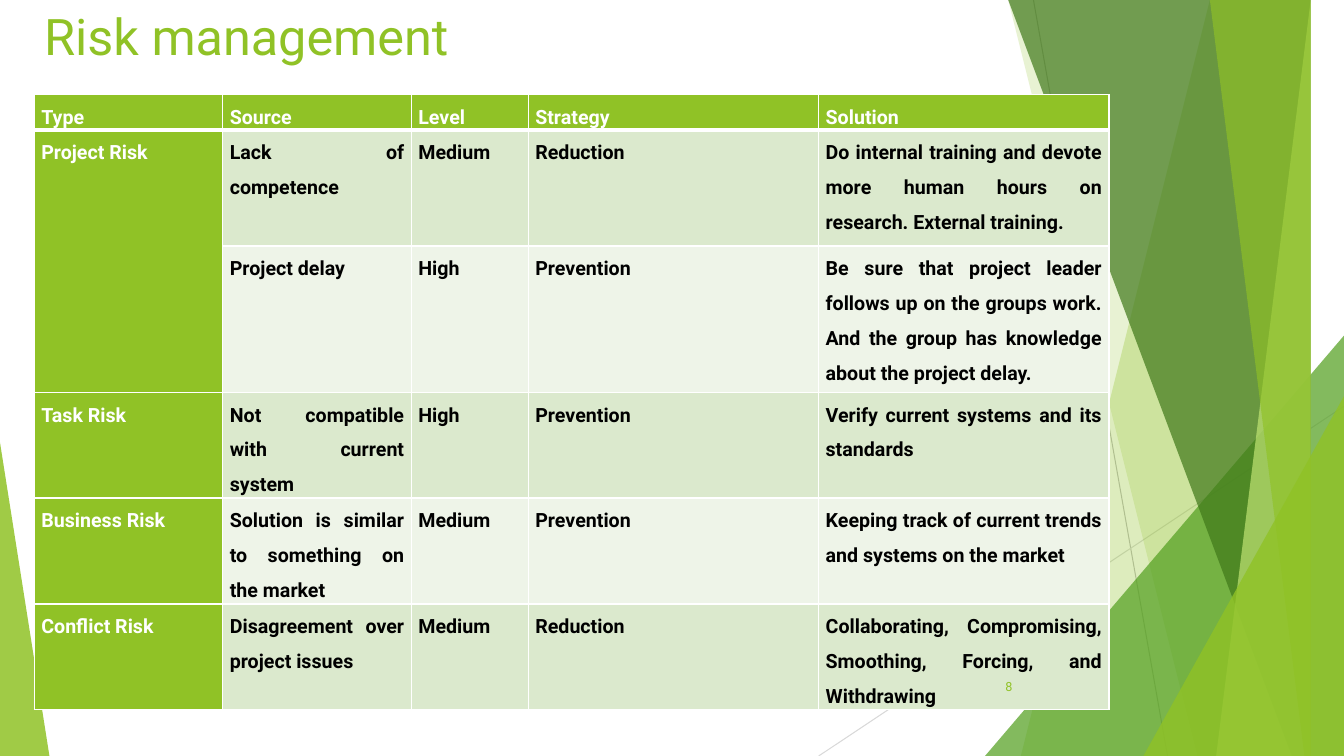
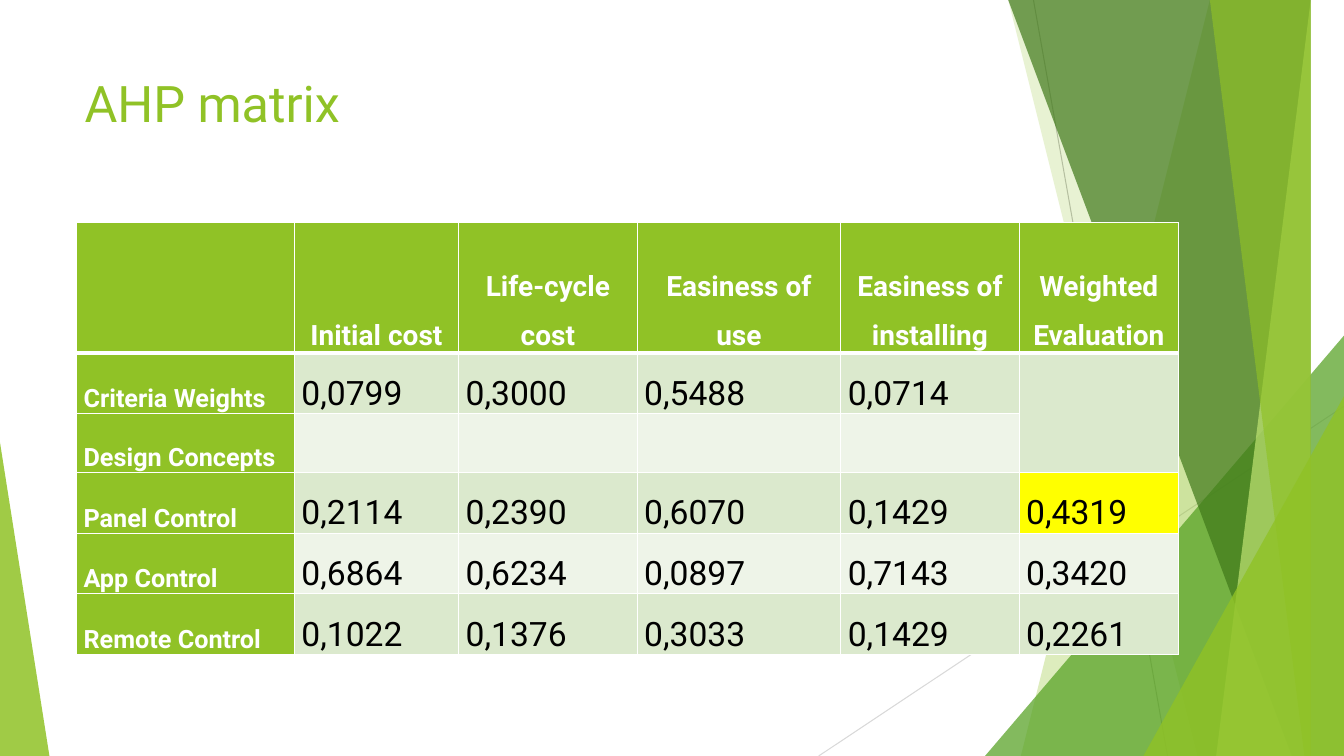
from lxml.etree import SubElement
from pptx import Presentation
from pptx.dml.color import RGBColor as RGB
from pptx.enum.shapes import MSO_CONNECTOR as LINE, MSO_SHAPE as SHAPE
from pptx.enum.text import MSO_ANCHOR as ANCHOR, PP_ALIGN as ALIGN
from pptx.oxml import parse_xml
from pptx.oxml.ns import nsdecls, qn
from pptx.util import Inches, Pt

COLORS = {
    "lime": "90C226", "leaf": "54A021", "dark": "3F7819", "pale": "C0E474",
    "band": "DBE9CD", "light": "EEF4E8", "mark": "FFFF00",
    "white": "FFFFFF", "black": "000000", "gray": "BFBFBF", "mist": "D9D9D9",
}
HEX = {name: RGB.from_string(code) for name, code in COLORS.items()}
FONT = "Roboto"
TOP, RIGHT, BASE = -0.01, 13.33, 7.5

RAYS = [((10.25, 0), (11.58, BASE), "gray"), ((RIGHT, 4.03), (8.12, BASE), "mist")]
# Facets from back to front: a shard gives its top and bottom x,
# a wedge its left, top, width, height and apex; then colour and opacity.
FACETS = [
    ("shard", (12.28, 10.04), "lime", 30),
    ("shard", (10.5, 11.83), "lime", 20),
    ("wedge", (9.77, 3.33, 3.56, 4.17, 1), "leaf", 72),
    ("shard", (10.21, 12.91), "dark", 70),
    ("shard", (13.03, 11.92), "pale", 70),
    ("shard", (11.96, 13.18), "lime", 65),
    ("wedge", (11.34, 3.93, 1.99, 3.57, 1), "lime", 80),
    ("wedge", (0, 4.39, 0.49, 3.11, 0), "lime", 85),
]

RISKS = [
    ["Type", "Source", "Level", "Strategy", "Solution"],
    ["Project Risk", "Lack of competence", "Medium", "Reduction",
     "Do internal training and devote more human hours on research. External training."],
    ["", "Project delay", "High", "Prevention",
     "Be sure that project leader follows up on the groups work. "
     "And the group has knowledge about the project delay."],
    ["Task Risk", "Not compatible with current system", "High", "Prevention",
     "Verify current systems and its standards"],
    ["Business Risk", "Solution is similar to something on the market", "Medium", "Prevention",
     "Keeping track of current trends and systems on the market"],
    ["Conflict Risk", "Disagreement over project issues", "Medium", "Reduction",
     "Collaborating, Compromising, Smoothing, Forcing, and Withdrawing"],
]
MATRIX = [
    ["", "Initial cost", "Life-cycle cost", "Easiness of use", "Easiness of installing",
     "Weighted Evaluation"],
    ["Criteria Weights", "0,0799", "0,3000", "0,5488", "0,0714", ""],
    ["Design Concepts", "", "", "", "", ""],
    ["Panel Control", "0,2114", "0,2390", "0,6070", "0,1429", "0,4319"],
    ["App Control", "0,6864", "0,6234", "0,0897", "0,7143", "0,3420"],
    ["Remote Control", "0,1022", "0,1376", "0,3033", "0,1429", "0,2261"],
]
BOLD = {"size": Pt(14), "bold": True}
SLIDES = [
    {"title": "Risk management", "box": (0.34, 0, 11.5, 1.45), "page": "8",
     "rows": RISKS, "at": (0.34, 0.94), "cols": [1.87, 1.87, 1.16, 2.88, 2.88],
     "tall": [0.34, 1.15, 1.45, 0.86, 1.03, 1.03], "span": (1, 0), "mark": None,
     "anchor": ANCHOR.TOP, "align": ALIGN.JUSTIFY,
     "head": BOLD, "side": BOLD, "body": BOLD},
    {"title": "AHP matrix", "box": (0.74, 0.67, 9.4, 1.44), "page": None,
     "rows": MATRIX, "at": (0.76, 2.21), "cols": [2.16, 1.63, 1.77, 2.02, 1.77, 1.58],
     "tall": [1.29] + [0.59] * 5, "span": (1, 5), "mark": (3, 5),
     "anchor": ANCHOR.BOTTOM, "align": ALIGN.CENTER,
     "head": {"size": Pt(20), "bold": True}, "side": {"size": Pt(18), "bold": True},
     "body": {"size": Pt(24), "bold": False}},
]


def write(frame, text, color, style, align=ALIGN.LEFT, space=None):
    para = frame.paragraphs[0]
    para.alignment, para.line_spacing = align, space
    run = para.add_run()
    run.text = text
    run.font.name = FONT
    run.font.color.rgb = HEX[color]
    for key, val in style.items():
        setattr(run.font, key, val)


def edge(cell, base):
    """Draw white borders round a cell; base is the bottom width in points."""
    props = cell._tc.get_or_add_tcPr()
    for i, side in enumerate("LRTB"):
        width = Pt(base if side == "B" else 1)
        props.insert(i, parse_xml(
            f'<a:ln{side} {nsdecls("a")} w="{width}"><a:solidFill>'
            f'<a:srgbClr val="{COLORS["white"]}"/></a:solidFill></a:ln{side}>'))


deck = Presentation()
deck.slide_width, deck.slide_height = Inches(RIGHT), Inches(BASE)

for page in SLIDES:
    slide = deck.slides.add_slide(deck.slide_layouts[6])
    shapes = slide.shapes

    # Backdrop
    for start, end, color in RAYS:
        ray = shapes.add_connector(LINE.STRAIGHT, *map(Inches, start + end))
        ray.line.color.rgb = HEX[color]
        ray.line.width = Pt(0.75)
        SubElement(ray._element.spPr, qn("a:effectLst"))
    for kind, dims, color, alpha in FACETS:
        if kind == "shard":
            high, low = dims
            path = shapes.build_freeform(high, TOP, scale=Inches(1))
            path.add_line_segments([(RIGHT, TOP), (RIGHT, BASE), (low, BASE)])
            facet = path.convert_to_shape()
        else:
            facet = shapes.add_shape(SHAPE.ISOSCELES_TRIANGLE, *map(Inches, dims[:4]))
            facet.adjustments[0] = dims[4]
        facet.shadow.inherit = False
        facet.line.fill.background()
        facet.fill.solid()
        facet.fill.fore_color.rgb = HEX[color]
        tint = facet._element.spPr.find(qn("a:solidFill"))[0]
        SubElement(tint, qn("a:alpha")).set("val", str(alpha * 1000))

    # Title
    frame = shapes.add_textbox(*map(Inches, page["box"])).text_frame
    frame.word_wrap = True
    write(frame, page["title"], "lime", {"size": Pt(36)})

    # Table
    rows, cols, tall = page["rows"], page["cols"], page["tall"]
    size = (*page["at"], sum(cols), sum(tall))
    table = shapes.add_table(len(rows), len(cols), *map(Inches, size)).table
    for col, width in zip(table.columns, cols):
        col.width = Inches(width)
    for row, height in zip(table.rows, tall):
        row.height = Inches(height)
    for r, texts in enumerate(rows):
        for c, text in enumerate(texts):
            cell = table.cell(r, c)
            part = "head" if r == 0 else "side" if c == 0 else "body"
            fill = "lime" if part != "body" else "band" if r % 2 else "light"
            if (r, c) == page["mark"]:
                fill = "mark"
            cell.fill.solid()
            cell.fill.fore_color.rgb = HEX[fill]
            edge(cell, 3 if r == 0 else 1)
            if text:
                cell.vertical_anchor = page["anchor"]
                cell.margin_left = cell.margin_right = Inches(0.07)
                cell.margin_top = cell.margin_bottom = 0
                write(cell.text_frame, text, "black" if part == "body" else "white",
                      page[part], page["align"] if r == 0 else ALIGN.JUSTIFY, 1.5)
    r, c = page["span"]
    table.cell(r, c).merge(table.cell(r + 1, c))

    # Page number
    if page["page"]:
        frame = shapes.add_textbox(*map(Inches, (9.39, 6.61, 0.75, 0.4))).text_frame
        frame.word_wrap = True
        frame.vertical_anchor = ANCHOR.MIDDLE
        write(frame, page["page"], "lime", {"size": Pt(9)}, ALIGN.RIGHT)

deck.save("out.pptx")
